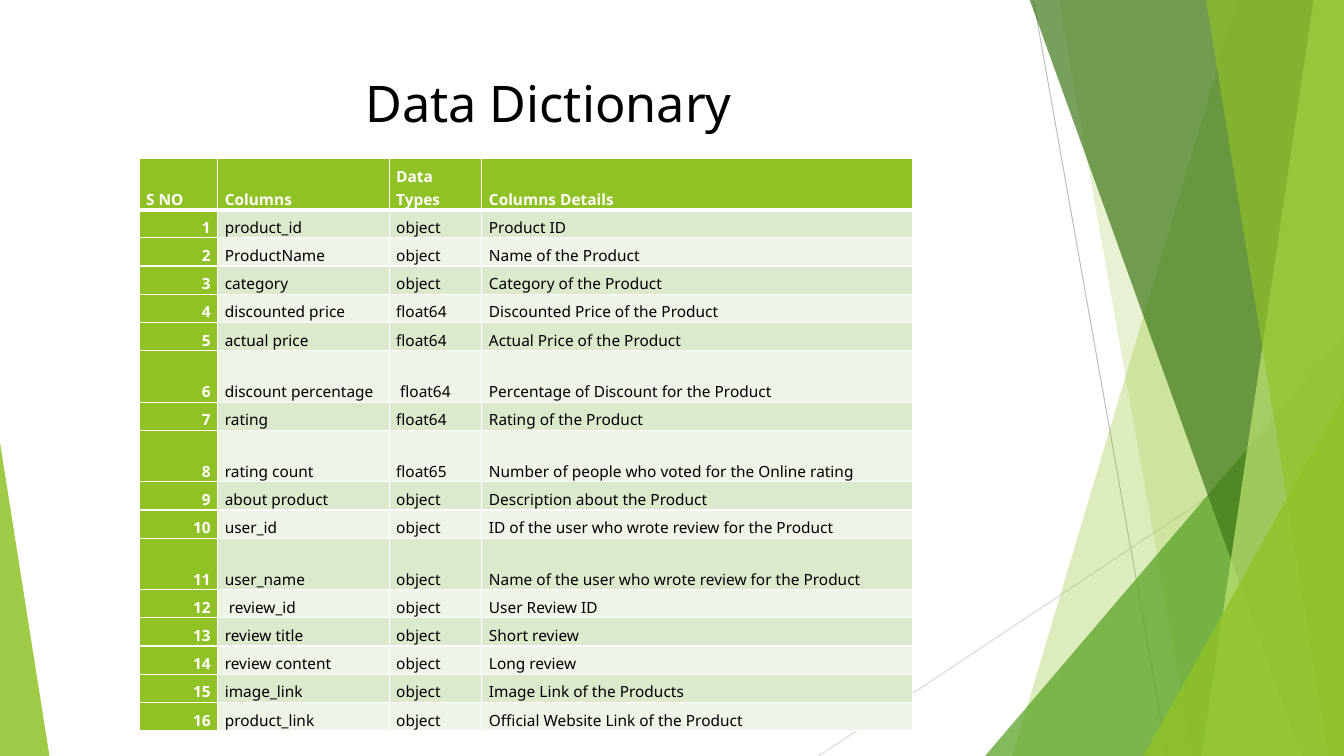
from pptx import Presentation, util as u
from pptx.dml.color import RGBColor
from pptx.enum import shapes, text
from pptx.oxml import parse_xml
from pptx.oxml.ns import nsdecls
from lxml import etree

WIDE, HIGH = 13.33, 7.5
FONT = "Noto Sans"
LIME, WHITE, BLACK = "90C226", "FFFFFF", "000000"
BANDS = ["DBE9CD", "EEF4E8"]

LINES = [((10.25, 0), (11.58, 7.5), "BFBFBF"), ((13.33, 4.03), (8.12, 7.5), "D9D9D9")]
DECOR = [
    ("band", (12.28, 10.04), LIME, 30),
    ("band", (10.5, 11.83), LIME, 20),
    ("wedge", (9.77, 3.33, 3.56, 4.17, 1), "54A021", 72),
    ("band", (10.21, 12.91), "3F7819", 70),
    ("band", (13.03, 11.92), "C0E474", 70),
    ("band", (11.96, 13.18), LIME, 65),
    ("wedge", (11.34, 3.93, 1.99, 3.57, 1), LIME, 80),
    ("wedge", (0, 4.39, 0.49, 3.11, 0), LIME, 85),
]
TITLE = "Data Dictionary"
HEAD = ("S NO", "Columns", "Data Types", "Columns Details")
ROWS = [
    ("product_id", "object", "Product ID"),
    ("ProductName", "object", "Name of the Product"),
    ("category", "object", "Category of the Product"),
    ("discounted price", "float64", "Discounted Price of the Product"),
    ("actual price", "float64", "Actual Price of the Product"),
    ("discount percentage", " float64", "Percentage of Discount for the Product"),
    ("rating", "float64", "Rating of the Product"),
    ("rating count", "float65", "Number of people who voted for the Online rating"),
    ("about product", "object", "Description about the Product"),
    ("user_id", "object", "ID of the user who wrote review for the Product"),
    ("user_name", "object", "Name of the user who wrote review for the Product"),
    (" review_id", "object", "User Review ID"),
    ("review title", "object", "Short review"),
    ("review content", "object", "Long review"),
    ("image_link", "object", "Image Link of the Products"),
    ("product_link", "object", "Official Website Link of the Product"),
]
COLS = [0.78, 1.7, 0.92, 4.27]
TALL = {0, 6, 8, 11}
CELL = dict(margin_left=u.Inches(0.07), margin_right=u.Inches(0.07), margin_top=0,
            margin_bottom=0, vertical_anchor=text.MSO_ANCHOR.BOTTOM)


def put(obj, vals):
    for key, val in vals.items():
        setattr(obj, key, val)


def paint(fill, tone, alpha=100):
    fill.solid()
    fill.fore_color.rgb = RGBColor.from_string(tone)
    if alpha < 100:
        clr = fill._xPr.find(".//{*}srgbClr")
        etree.SubElement(clr, clr.tag.replace("srgbClr", "alpha"), val=str(alpha * 1000))


def write(para, words, size, tone, bold, form):
    put(para, form)
    run = para.add_run()
    run.text = words
    put(run.font, dict(name=FONT, size=u.Pt(size), bold=bold))
    paint(run.font.fill, tone)


def edge(cell, side, pts):
    cell._tc.get_or_add_tcPr().append(parse_xml(
        f'<a:ln{side} {nsdecls("a")} w="{u.Pt(pts)}"><a:solidFill>'
        f'<a:srgbClr val="{WHITE}"/></a:solidFill></a:ln{side}>'))


def draw_lines(tree):
    for start, end, tone in LINES:
        line = tree.add_connector(shapes.MSO_CONNECTOR.STRAIGHT, *map(u.Inches, start + end))
        line.line.width = u.Pt(0.75)
        paint(line.line.fill, tone)
        line._element.spPr.append(parse_xml(f'<a:effectLst {nsdecls("a")}/>'))


def draw_decor(tree):
    for kind, geo, tone, alpha in DECOR:
        if kind == "band":
            top, low = geo
            pts = [(top, -0.01), (WIDE, -0.01), (WIDE, HIGH), (low, HIGH)]
            pts = [(u.Inches(x), u.Inches(y)) for x, y in pts]
            pen = tree.build_freeform(*pts[0], scale=1.0)
            pen.add_line_segments(pts[1:], close=True)
            item = pen.convert_to_shape()
        else:
            item = tree.add_shape(shapes.MSO_SHAPE.ISOSCELES_TRIANGLE, *map(u.Inches, geo[:4]))
            item.adjustments[0] = geo[4]
        item.shadow.inherit = False
        item.line.fill.background()
        paint(item.fill, tone, alpha)


def draw_title(tree):
    frame = tree.add_textbox(*map(u.Inches, (0.74, 0.67, 9.4, 1.44))).text_frame
    frame.word_wrap = True
    write(frame.paragraphs[0], TITLE, 36, BLACK, False, dict(alignment=text.PP_ALIGN.CENTER))


def draw_table(tree):
    data = [HEAD] + [(str(n), *row) for n, row in enumerate(ROWS, 1)]
    tall = [0.51 if r in TALL else 0.28 for r in range(len(data))]
    grid = tree.add_table(len(data), len(COLS), *map(u.Inches, (1.38, 1.57, sum(COLS), sum(tall)))).table
    for col, wide in zip(grid.columns, COLS):
        col.width = u.Inches(wide)
    for r, row in enumerate(data):
        grid.rows[r].height = u.Inches(tall[r])
        for c, words in enumerate(row):
            cell = grid.cell(r, c)
            put(cell, CELL)
            for side in "LRTB":
                edge(cell, side, 3 if (r, side) in {(0, "B"), (1, "T")} else 1)
            key = r == 0 or c == 0
            paint(cell.fill, LIME if key else BANDS[(r - 1) % 2])
            right = r > 0 and c == 0
            form = dict(alignment=text.PP_ALIGN.RIGHT if right else text.PP_ALIGN.LEFT,
                        line_spacing=1.07, space_after=u.Pt(8))
            write(cell.text_frame.paragraphs[0], words, 11, WHITE if key else BLACK, key, form)


def main():
    deck = Presentation()
    put(deck, dict(slide_width=u.Inches(WIDE), slide_height=u.Inches(HIGH)))
    tree = deck.slides.add_slide(deck.slide_layouts[6]).shapes
    for step in (draw_lines, draw_decor, draw_title, draw_table):
        step(tree)
    deck.save("out.pptx")


if __name__ == "__main__":
    main()
